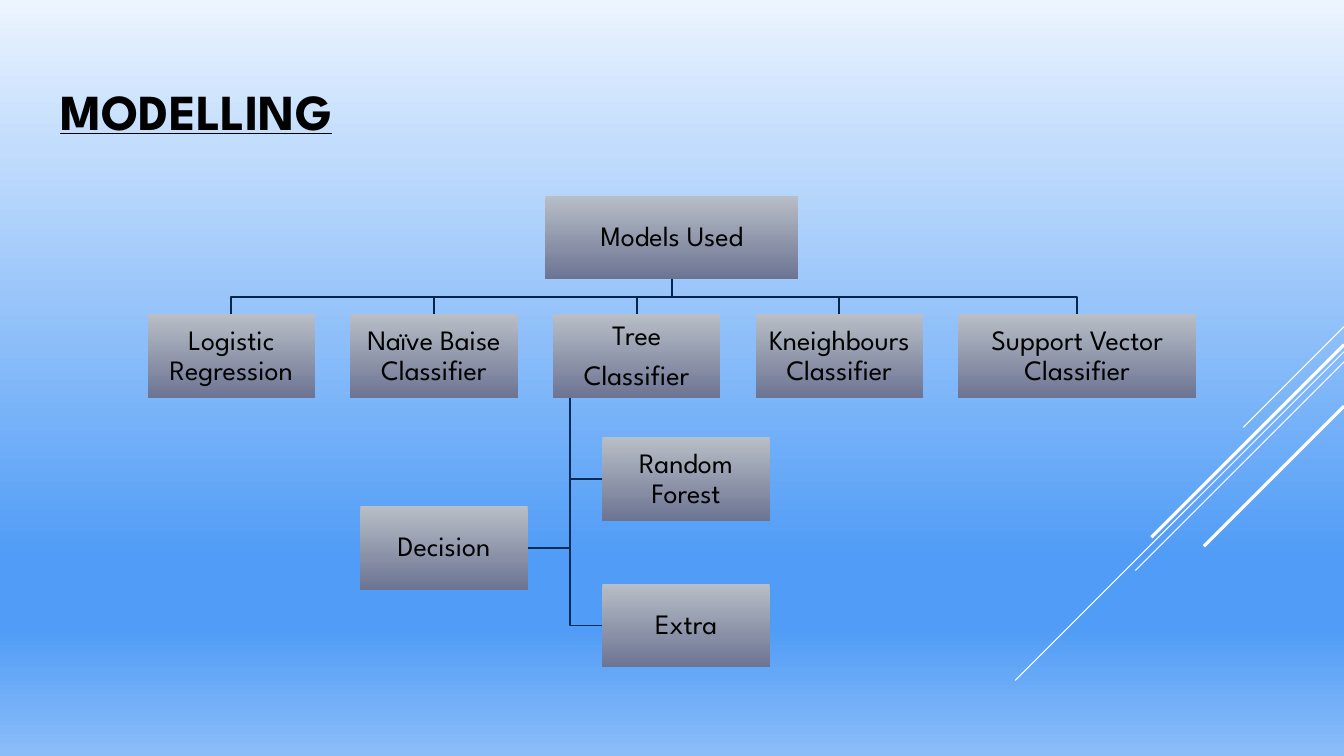
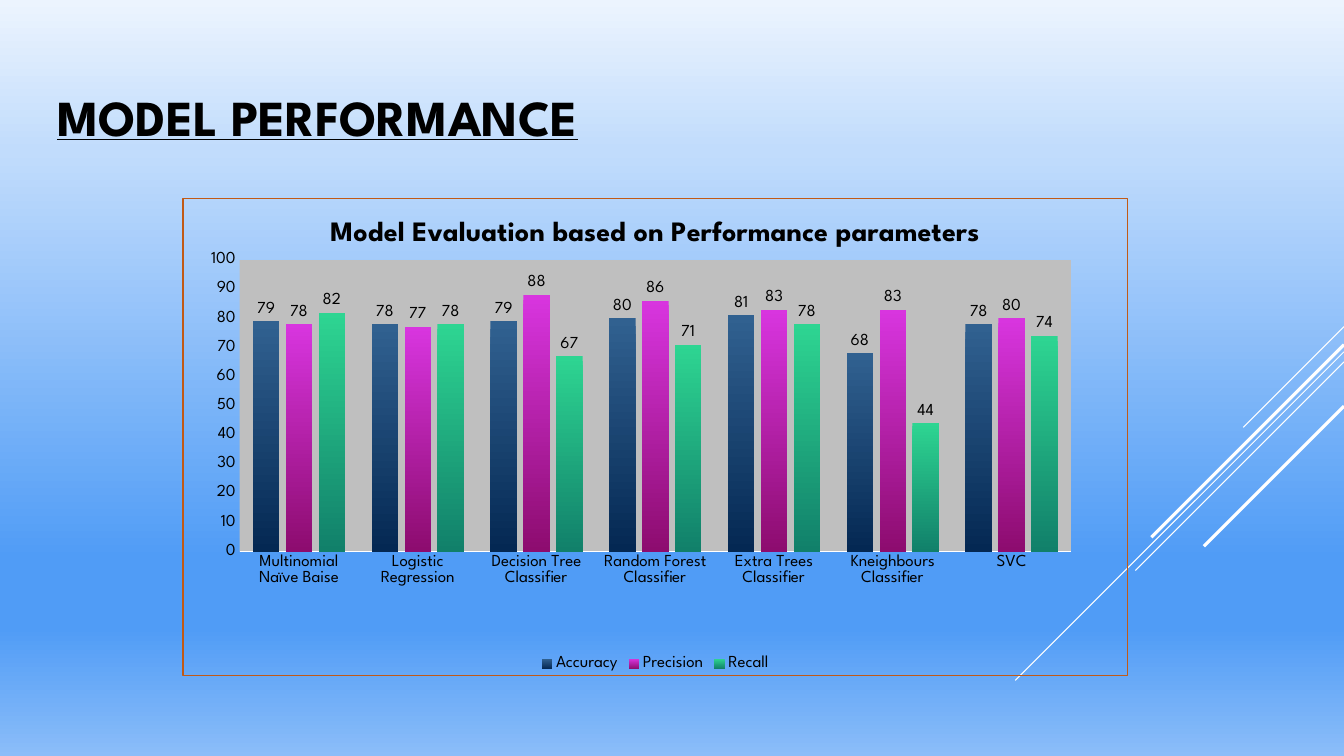
from copy import deepcopy

from lxml import etree
from pptx import Presentation
from pptx.chart.data import CategoryChartData
from pptx.dml.color import RGBColor
from pptx.enum.chart import (XL_CHART_TYPE, XL_LABEL_POSITION,
                             XL_LEGEND_POSITION, XL_TICK_MARK)
from pptx.enum.shapes import MSO_CONNECTOR, MSO_SHAPE
from pptx.enum.text import MSO_ANCHOR, PP_ALIGN
from pptx.oxml import parse_xml
from pptx.oxml.ns import nsdecls, qn
from pptx.util import Inches, Pt

COLUMNS = XL_CHART_TYPE.COLUMN_CLUSTERED
OUTSIDE_END = XL_LABEL_POSITION.OUTSIDE_END
LEGEND_BOTTOM = XL_LEGEND_POSITION.BOTTOM
NO_TICK = XL_TICK_MARK.NONE
STRAIGHT = MSO_CONNECTOR.STRAIGHT
RECTANGLE = MSO_SHAPE.RECTANGLE
MIDDLE = MSO_ANCHOR.MIDDLE
CENTER = PP_ALIGN.CENTER

WIDTH, HEIGHT = 13.33, 7.5

THEME = {
    "font": "League Spartan",
    "text": "000000",
    "white": "FFFFFF",
    "sky": [(0, "ECF4FE"), (20, "C1DCFC"), (74, "509CF6"),
            (83, "509CF6"), (100, "8BBDF9")],
    "box": [(0, "B8BEC6"), (100, "6C7493")],
    "branch": "04264E",
    "twig": "052B58",
    "plot": "BFBFBF",
    "frame": "C15A16",
    "title_size": 36,
    "box_size": 20,
    "chart_title_size": 20,
    "chart_size": 12,
}

# Diagonal rays from the right edge: start height, reach, line width
RAYS = [(3.24, 1, 0.75), (3.49, 3.26, 0.75), (3.59, 2.07, 0.75),
        (3.42, 1.91, 2.25), (4.03, 1.39, 2.25)]

# Model tree: each label is a list of paragraphs
ROOT = ["Models Used"]
MODELS = [
    (["Logistic Regression"], 1.66),
    (["Naïve Baise Classifier"], 1.66),
    (["Tree", "Classifier"], 1.66),
    (["Kneighbours Classifier"], 1.66),
    (["Support Vector Classifier"], 2.36),
]
TREE_INDEX = 2
TREE_KINDS = [("Random Forest", "right", 4.34), ("Decision", "left", 5.02),
              ("Extra", "right", 5.79)]
ROOT_TOP, ROOT_WIDTH = 1.94, 2.51
BOX_WIDTH, BOX_HEIGHT, BOX_GAP = 1.66, 0.83, 0.35
TRUNK_INSET, RIGHT_REACH, LEFT_REACH = 0.17, 0.32, 0.42

CHART_TITLE = "Model Evaluation based on Performance parameters"
CLASSIFIERS = ["Multinomial Naïve Baise", "Logistic Regression",
               "Decision Tree Classifier", "Random Forest Classifier",
               "Extra Trees Classifier", "Kneighbours Classifier", "SVC"]
SCORES = [
    ("Accuracy", [79, 78, 79, 80, 81, 68, 78],
     [(0, "316190"), (100, "042853")]),
    ("Precision", [78, 77, 88, 86, 83, 83, 80],
     [(0, "D835DF"), (100, "8D0C6F")]),
    ("Recall", [82, 78, 67, 71, 78, 44, 74],
     [(0, "2ED592"), (100, "11806A")]),
]
CHART_AREA = (1.81, 1.96, 9.38, 4.75)
PLOT_LAYOUT = {"x": 0.06, "y": 0.13, "w": 0.88, "h": 0.61}


def rgb(value):
    return RGBColor.from_string(value)


def style_font(font, size, color=THEME["text"], **flags):
    font.name = THEME["font"]
    font.size = Pt(size)
    font.color.rgb = rgb(color)
    for attribute, value in flags.items():
        setattr(font, attribute, value)


def style_line(line, color, width):
    line.color.rgb = rgb(color)
    line.width = Pt(width)


def set_stops(fill, stops):
    """Colour an existing gradient from top to bottom."""
    fill.gradient_angle = 270
    for stop, (percent, color) in zip(fill.gradient_stops, stops):
        stop.color.rgb = rgb(color)
        stop.position = percent / 100


def paint_sky(master):
    fill = master.background.fill
    fill.gradient()
    stop_list = next(master.element.iter(qn("a:gsLst")))
    while len(stop_list) < len(THEME["sky"]):
        stop_list.append(deepcopy(stop_list[0]))
    set_stops(fill, THEME["sky"])


def add_titled_slide(prs, title, left, top):
    slide = prs.slides.add_slide(prs.slide_layouts[6])
    for start, reach, width in RAYS:
        ray = slide.shapes.add_connector(
            STRAIGHT, Inches(WIDTH), Inches(start),
            Inches(WIDTH - reach), Inches(start + reach))
        style_line(ray.line, THEME["white"], width)
        etree.SubElement(ray.element.spPr, qn("a:effectLst"))
    frame = slide.shapes.add_textbox(
        Inches(left), Inches(top), Inches(12.06), Inches(0.72)).text_frame
    frame.word_wrap = True
    frame.vertical_anchor = MIDDLE
    run = frame.paragraphs[0].add_run()
    run.text = title
    style_font(run.font, THEME["title_size"], bold=True, underline=True)
    return slide


def add_box(slide, label, left, top, width=BOX_WIDTH):
    box = slide.shapes.add_shape(
        RECTANGLE, Inches(left), Inches(top), Inches(width),
        Inches(BOX_HEIGHT))
    box.shadow.inherit = False
    box.line.fill.background()
    box.fill.gradient()
    set_stops(box.fill, THEME["box"])
    frame = box.text_frame
    frame.word_wrap = True
    frame.vertical_anchor = MIDDLE
    for side in ("left", "top", "right", "bottom"):
        setattr(frame, f"margin_{side}", Inches(0.01))
    for index, text in enumerate(label):
        paragraph = frame.add_paragraph() if index else frame.paragraphs[0]
        if index:
            paragraph.space_before = Pt(7)
        paragraph.alignment = CENTER
        paragraph.line_spacing = 0.9
        run = paragraph.add_run()
        run.text = text
        style_font(run.font, THEME["box_size"])


def add_branch(slide, points, color):
    """Draw an open line with square corners through the points."""
    start, *rest = [(Inches(x), Inches(y)) for x, y in points]
    builder = slide.shapes.build_freeform(*start)
    builder.add_line_segments(rest, close=False)
    branch = builder.convert_to_shape()
    branch.shadow.inherit = False
    branch.fill.background()
    style_line(branch.line, color, 1.25)


def add_model_tree(slide):
    center = WIDTH / 2
    root_bottom = ROOT_TOP + BOX_HEIGHT
    row_top = root_bottom + BOX_GAP
    fork = root_bottom + BOX_GAP / 2
    row_width = sum(w for _, w in MODELS) + BOX_GAP * (len(MODELS) - 1)
    left = center - row_width / 2
    lefts = []
    for label, width in MODELS:
        lefts.append(left)
        middle = left + width / 2
        add_branch(slide, [(center, root_bottom), (center, fork),
                           (middle, fork), (middle, row_top)],
                   THEME["branch"])
        add_box(slide, label, left, row_top, width)
        left += width + BOX_GAP
    add_box(slide, ROOT, center - ROOT_WIDTH / 2, ROOT_TOP, ROOT_WIDTH)

    trunk = lefts[TREE_INDEX] + TRUNK_INSET
    for name, side, top in TREE_KINDS:
        on_right = side == "right"
        edge = trunk + RIGHT_REACH if on_right else trunk - LEFT_REACH
        middle = top + BOX_HEIGHT / 2
        add_branch(slide, [(trunk, row_top + BOX_HEIGHT), (trunk, middle),
                           (edge, middle)], THEME["twig"])
        add_box(slide, [name], edge if on_right else edge - BOX_WIDTH, top)


def frame_chart(chart):
    """Place and fill the plot area, and outline the whole chart."""
    chart_part = chart.element.find(qn("c:chart"))
    plot_area = chart_part.find(qn("c:plotArea"))
    for layout in plot_area.findall(qn("c:layout")):
        plot_area.remove(layout)
    modes = "".join(f'<c:{key}Mode val="edge"/>' for key in "xy")
    places = "".join(f'<c:{key} val="{value}"/>'
                     for key, value in PLOT_LAYOUT.items())
    plot_area.insert(0, parse_xml(
        f'<c:layout {nsdecls("c")}><c:manualLayout>'
        f'<c:layoutTarget val="inner"/>{modes}{places}'
        '</c:manualLayout></c:layout>'))
    plot_area.append(parse_xml(
        f'<c:spPr {nsdecls("c", "a")}><a:solidFill>'
        f'<a:srgbClr val="{THEME["plot"]}"/></a:solidFill></c:spPr>'))
    chart_part.addnext(parse_xml(
        f'<c:spPr {nsdecls("c", "a")}><a:noFill/><a:ln w="{Pt(0.75)}">'
        f'<a:solidFill><a:srgbClr val="{THEME["frame"]}"/></a:solidFill>'
        '</a:ln></c:spPr>'))


def add_score_chart(slide):
    data = CategoryChartData(number_format="#,##0")
    data.categories = CLASSIFIERS
    for name, values, _ in SCORES:
        data.add_series(name, values)
    chart = slide.shapes.add_chart(
        COLUMNS, *[Inches(n) for n in CHART_AREA], data).chart
    size = THEME["chart_size"]
    style_font(chart.font, size)

    chart.has_title = True
    heading = chart.chart_title.text_frame.paragraphs[0].add_run()
    heading.text = CHART_TITLE
    style_font(heading.font, THEME["chart_title_size"], bold=True)
    chart.chart_title.include_in_layout = False

    chart.has_legend = True
    chart.legend.position = LEGEND_BOTTOM
    chart.legend.include_in_layout = False
    style_font(chart.legend.font, size)

    plot = chart.plots[0]
    plot.gap_width, plot.overlap = 100, -24
    plot.vary_by_categories = False
    for series, (_, _, stops) in zip(plot.series, SCORES):
        series.format.fill.gradient()
        set_stops(series.format.fill, stops)
        labels = series.data_labels
        labels.show_value = True
        labels.position = OUTSIDE_END
        labels.number_format = "#,##0"
        labels.number_format_is_linked = False
        style_font(labels.font, size)

    for axis in (chart.category_axis, chart.value_axis):
        axis.major_tick_mark = axis.minor_tick_mark = NO_TICK
        axis.has_major_gridlines = False
        style_font(axis.tick_labels.font, size)
    style_line(chart.category_axis.format.line, THEME["white"], 1)
    scale = chart.value_axis
    scale.format.line.fill.background()
    scale.minimum_scale, scale.maximum_scale, scale.major_unit = 0, 100, 10
    frame_chart(chart)


def main():
    prs = Presentation()
    prs.slide_width, prs.slide_height = Inches(WIDTH), Inches(HEIGHT)
    paint_sky(prs.slide_master)
    add_model_tree(add_titled_slide(prs, "MODELLING", 0.5, 0.73))
    add_score_chart(add_titled_slide(prs, "MODEL PERFORMANCE", 0.47, 0.79))
    prs.save("out.pptx")


if __name__ == "__main__":
    main()
